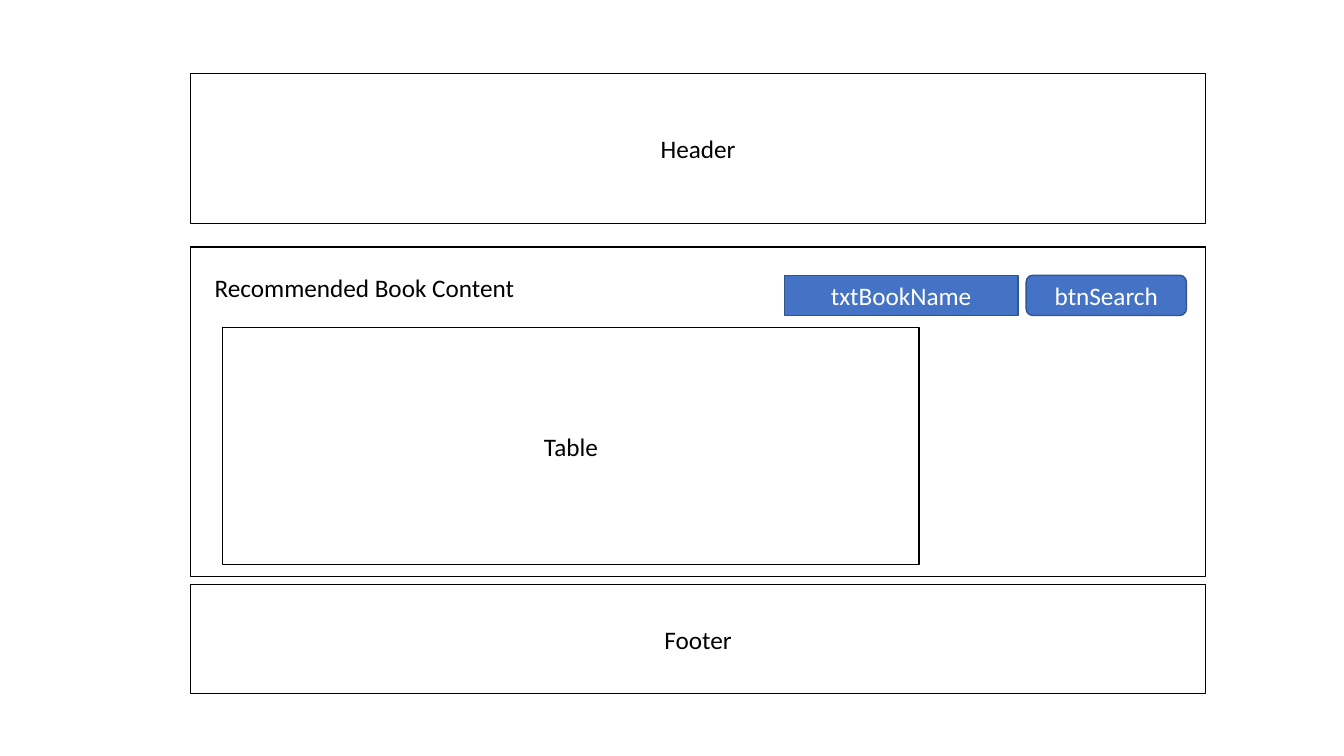
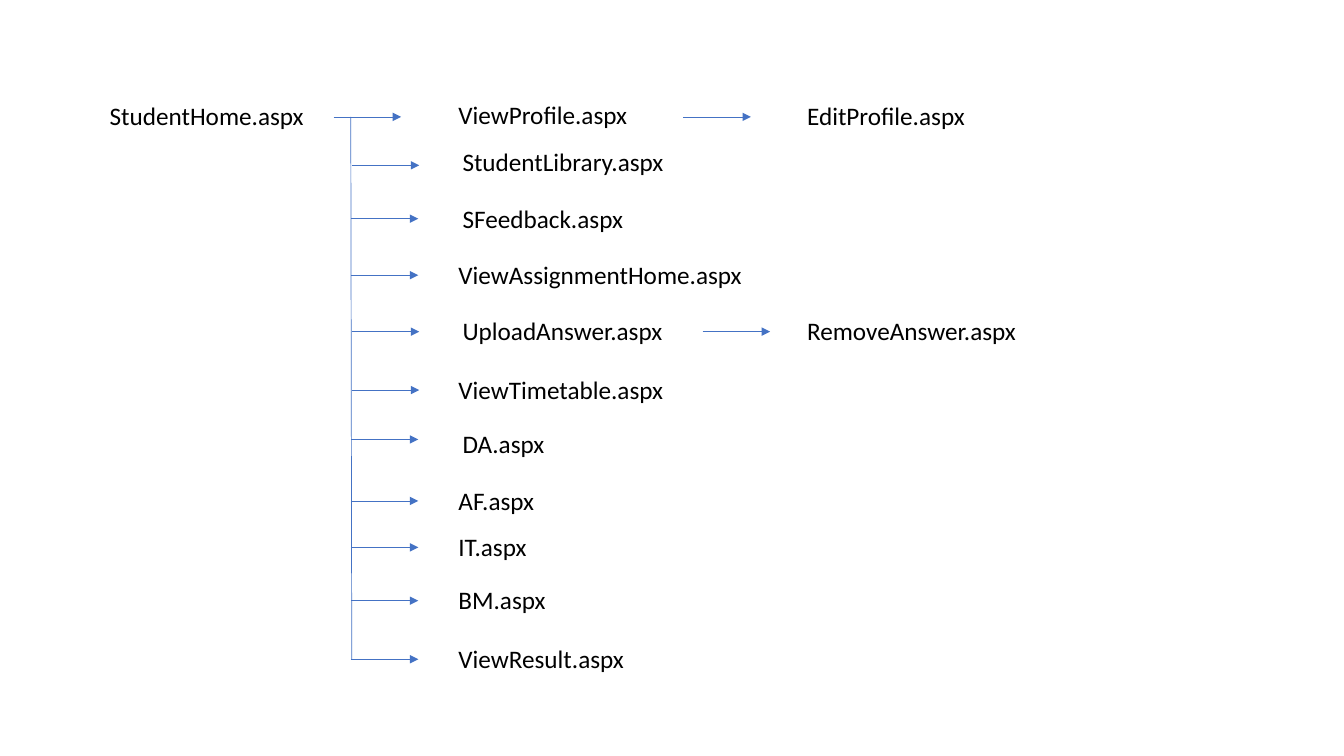
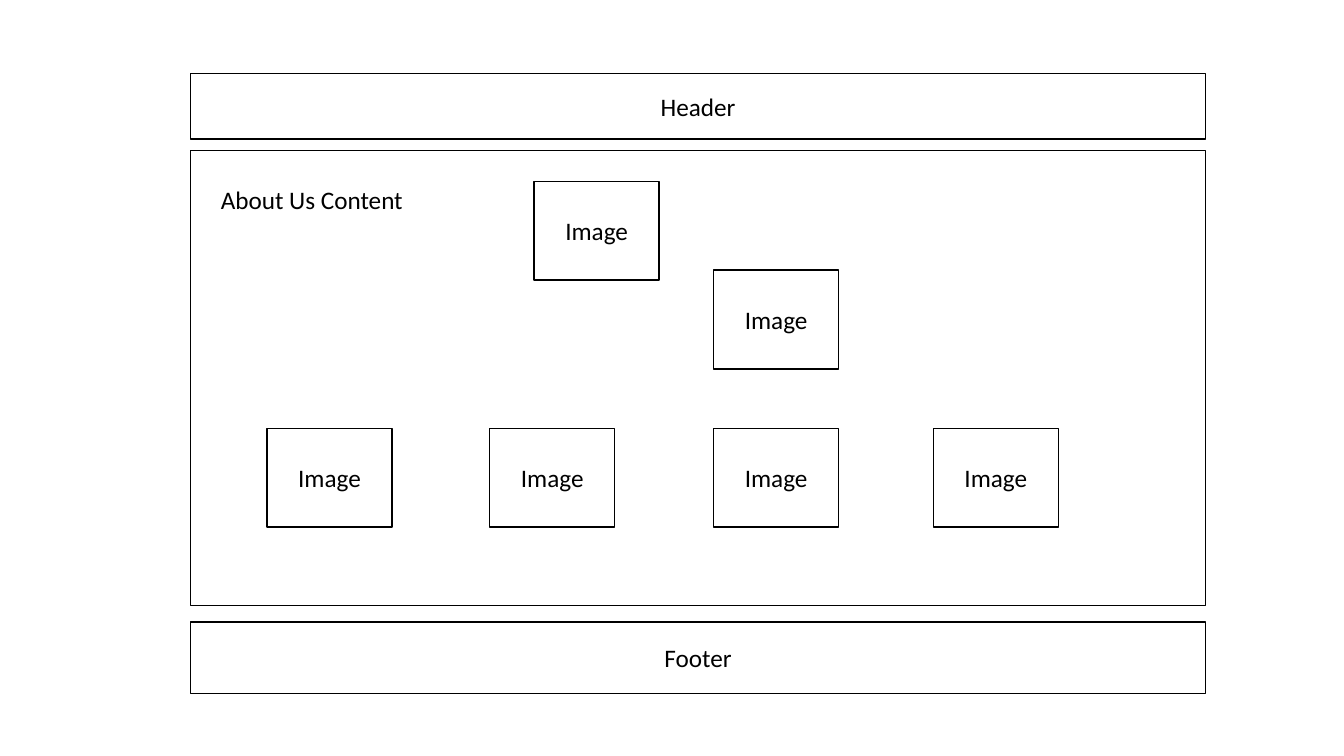
from dataclasses import dataclass
from typing import NamedTuple

from lxml.etree import SubElement
from pptx import Presentation
from pptx.dml.color import RGBColor
from pptx.enum.shapes import MSO_CONNECTOR, MSO_SHAPE
from pptx.enum.text import MSO_ANCHOR, MSO_AUTO_SIZE, PP_ALIGN
from pptx.oxml.ns import qn
from pptx.util import Pt


@dataclass(frozen=True)
class Theme:
    """Colours, type and line widths shared by all slides."""
    ink: RGBColor = RGBColor(0, 0, 0)
    paper: RGBColor = RGBColor(255, 255, 255)
    accent: RGBColor = RGBColor(0x44, 0x72, 0xC4)
    accent_edge: RGBColor = RGBColor(0x32, 0x54, 0x91)
    font: str = "Calibri"
    size: float = 18
    outline: float = 1
    arrow: float = 0.5


class Box(NamedTuple):
    """A rectangle in points."""
    left: float
    top: float
    width: float
    height: float

    def inner(self, left, top, width, height):
        """Return a box whose offset is measured from this one."""
        return Box(self.left + left, self.top + top, width, height)

    def lengths(self):
        """Return the four values as slide lengths."""
        return [Pt(value) for value in self]


THEME = Theme()
FRAME_LEFT, FRAME_WIDTH = 136.08, 725.04
LABEL_HEIGHT = 28.8


def write(shape, text, color, align):
    """Put one formatted paragraph into a shape."""
    frame = shape.text_frame
    frame.word_wrap = True
    frame.text = text
    para = frame.paragraphs[0]
    para.alignment = align
    for span in para.runs:
        span.font.name = THEME.font
        span.font.size = Pt(THEME.size)
        span.font.color.rgb = color


def add_block(page, box, text="", preset=MSO_SHAPE.RECTANGLE, control=False):
    """Draw an outlined block, or a coloured one for an input control."""
    shape = page.shapes.add_shape(preset, *box.lengths())
    shape.shadow.inherit = False
    shape.fill.solid()
    shape.fill.fore_color.rgb = THEME.accent if control else THEME.paper
    shape.line.color.rgb = THEME.accent_edge if control else THEME.ink
    shape.line.width = Pt(THEME.outline)
    if text:
        shape.text_frame.vertical_anchor = MSO_ANCHOR.MIDDLE
        write(shape, text, THEME.paper if control else THEME.ink, PP_ALIGN.CENTER)


def add_label(page, box, text):
    """Add a plain left-aligned label."""
    label = page.shapes.add_textbox(*box.lengths())
    write(label, text, THEME.ink, PP_ALIGN.LEFT)
    label.text_frame.auto_size = MSO_AUTO_SIZE.SHAPE_TO_FIT_TEXT


def add_line(page, start, end, arrow=True):
    """Draw a thin accent line, by default with an arrowhead at its end."""
    line = page.shapes.add_connector(
        MSO_CONNECTOR.STRAIGHT, *(Pt(value) for value in (*start, *end)))
    line.line.color.rgb = THEME.accent
    line.line.width = Pt(THEME.arrow)
    properties = line.element.spPr
    if arrow:
        SubElement(properties.find(qn("a:ln")), qn("a:tailEnd"), type="triangle")
    SubElement(properties, qn("a:effectLst"))


def place_title(page, box, text):
    """Move the title placeholder to a box, in front of the blocks."""
    title = page.shapes.title
    title.left, title.top, title.width, title.height = box.lengths()
    write(title, text, THEME.ink, PP_ALIGN.LEFT)
    title.text_frame.vertical_anchor = MSO_ANCHOR.TOP
    title.text_frame.auto_size = MSO_AUTO_SIZE.NONE
    title.element.getparent().append(title.element)


def add_wireframe(deck, header, content, footer, title, title_offset):
    """Add a page of header, content and footer; return it and its content box.

    Each band is given as its top and height.
    """
    page = deck.slides.add_slide(deck.slide_layouts[5])
    bands = [Box(FRAME_LEFT, top, FRAME_WIDTH, height)
             for top, height in (header, content, footer)]
    for band, text in zip(bands, ("Header", "", "Footer")):
        add_block(page, band, text)
    place_title(page, bands[1].inner(*title_offset, 244, LABEL_HEIGHT), title)
    return page, bands[1]


def fill_book_search(page, box):
    """Place the search controls and the result table in the content box."""
    add_block(page, box.inner(424.1, 20.2, 167, LABEL_HEIGHT), "txtBookName", control=True)
    add_block(page, box.inner(596.9, 20.2, 114.5, LABEL_HEIGHT), "btnSearch",
              MSO_SHAPE.ROUNDED_RECTANGLE, control=True)
    add_block(page, box.inner(23, 57.6, 497.5, 169.2), "Table")


def fill_about_us(page, box):
    """Place two staggered images above a row of four."""
    row = [(left, 198.7) for left in (54.7, 213.8, 373.7, 530.6)]
    for left, top in [(245.5, 22.3), (373.7, 85.7), *row]:
        add_block(page, box.inner(left, top, 89.28, 70.56), "Image")


def add_site_map(page, box):
    """Draw the home page, its trunk line and the pages that branch off."""
    trunk, arrow_length, label_width = 179.3, 48.2, 160
    near, far, third = 249.1, 252, 498.2
    # Page name, label left, label top, arrow left, arrow height
    branches = [
        ("ViewProfile.aspx", near, 0, 167, 15.8),
        ("StudentLibrary.aspx", far, 33.1, 180, 50.4),
        ("SFeedback.aspx", far, 74.1, trunk, 88.5),
        ("ViewAssignmentHome.aspx", near, 113.7, trunk, 128.9),
        ("UploadAnswer.aspx", far, 154.1, 180, 169.2),
        ("ViewTimetable.aspx", near, 196.5, 180, 210.9),
        ("DA.aspx", far, 234.7, trunk, 246.2),
        ("AF.aspx", near, 275.7, trunk, 290.1),
        ("IT.aspx", near, 308.1, trunk, 323.3),
        ("BM.aspx", near, 346.3, trunk, 361.4),
        ("ViewResult.aspx", near, 388.1, trunk, 403.2),
        ("EditProfile.aspx", third, 0.7, 416.9, 15.8),
        ("RemoveAnswer.aspx", third, 154.1, 430.6, 169.2),
    ]

    def point(x, y):
        """Return a point measured from the corner of the box."""
        return box.left + x, box.top + y

    add_label(page, box.inner(0, 0.7, label_width, LABEL_HEIGHT), "StudentHome.aspx")
    add_line(page, point(trunk, 15.8), point(180, 403.2), arrow=False)
    for name, left, top, arrow_left, height in branches:
        width = 230 if name == "ViewAssignmentHome.aspx" else 186 if left == third else 168
        add_label(page, box.inner(left, top, width, LABEL_HEIGHT), name)
        add_line(page, point(arrow_left, height), point(arrow_left + arrow_length, height))


def main():
    """Build and save the deck."""
    deck = Presentation()
    deck.slide_width, deck.slide_height = Pt(960), Pt(540)

    page, content = add_wireframe(
        deck, (52.56, 107.28), (176.4, 235.44), (417.6, 77.76),
        "Recommended Book Content", (10.1, 14.4))
    fill_book_search(page, content)

    page = deck.slides.add_slide(deck.slide_layouts[6])
    add_site_map(page, Box(71.28, 67.7, 685, 417))

    page, content = add_wireframe(
        deck, (52.56, 46.8), (107.28, 325.44), (444.24, 51.12),
        "About Us Content", (14.4, 20.9))
    fill_about_us(page, content)

    deck.save("out.pptx")


main()
